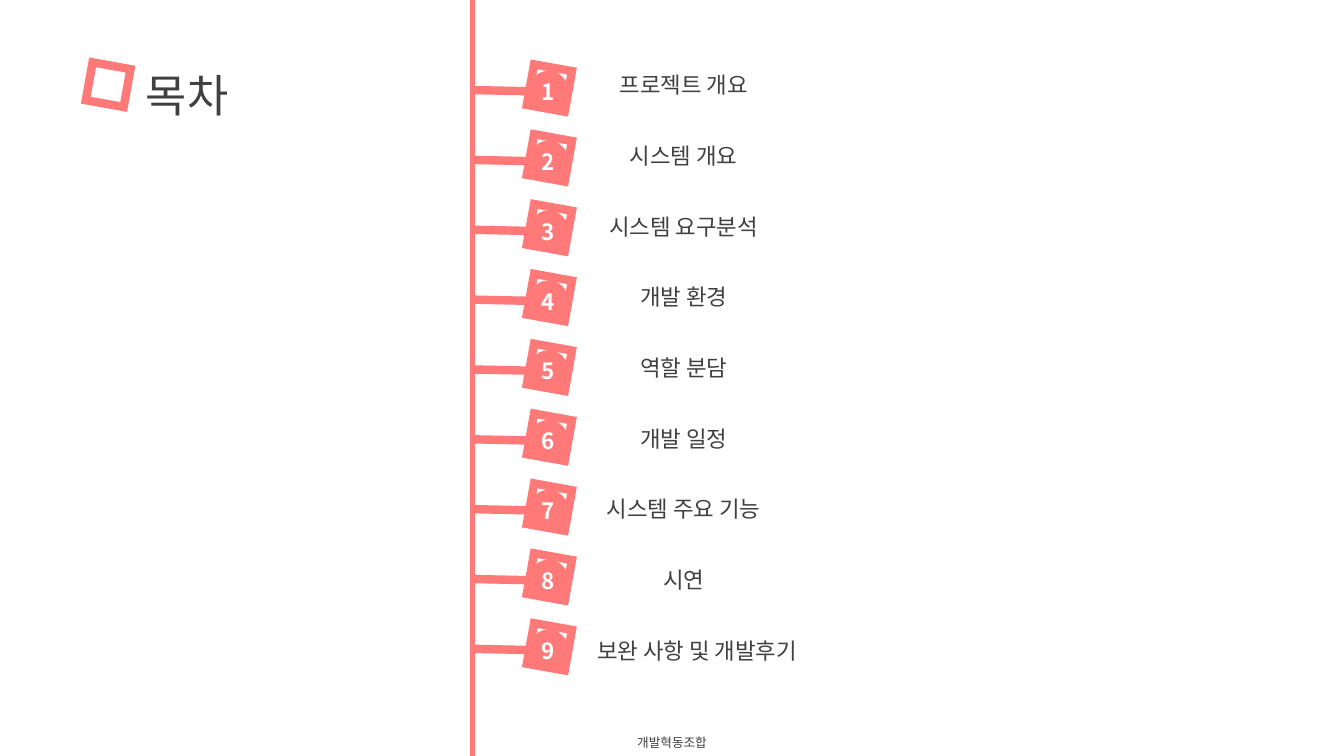
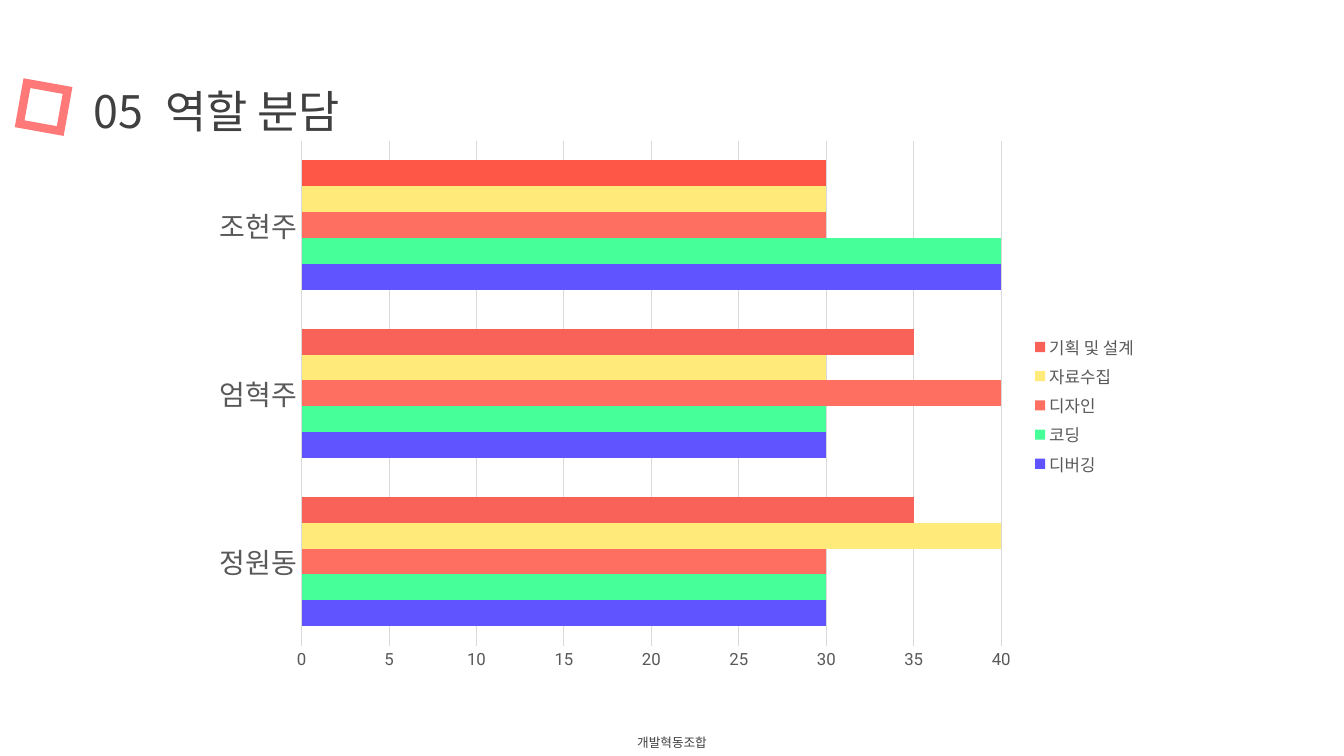
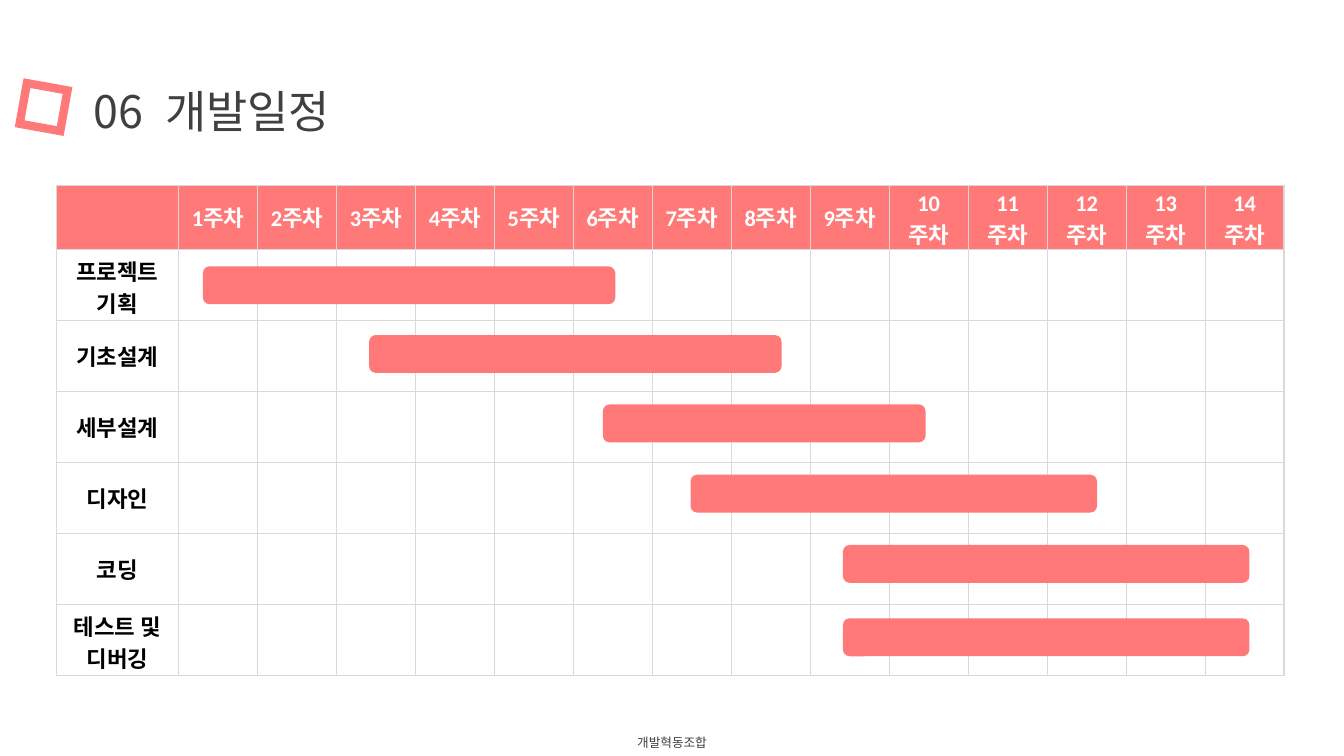
from dataclasses import dataclass
from typing import Any, Optional

from lxml.etree import SubElement
from pptx import Presentation
from pptx.chart.data import CategoryChartData
from pptx.dml.color import RGBColor
from pptx.enum.chart import XL_CHART_TYPE as Chart, XL_LEGEND_POSITION as Legend
from pptx.enum.chart import XL_TICK_MARK as Tick
from pptx.enum.shapes import MSO_CONNECTOR as Link, MSO_SHAPE as Preset
from pptx.enum.text import MSO_ANCHOR as Anchor, MSO_AUTO_SIZE as Fit, PP_ALIGN as Align
from pptx.oxml import parse_xml
from pptx.oxml.ns import nsdecls, qn
from pptx.util import Cm, Pt

CORAL, INK, WHITE, BLACK = "FF7979", "404040", "FFFFFF", "000000"
GREY, RULE = "595959", "D9D9D9"
SANS, LATIN, LABEL = "Noto Sans CJK KR", "Calibri", "Roboto"
TILT = 10.2
TEAM = "개발혁동조합"


@dataclass(frozen=True)
class Box:
    """A place on the slide, in centimetres."""
    x: float
    y: float
    w: float
    h: float

    def emu(self) -> tuple:
        return Cm(self.x), Cm(self.y), Cm(self.w), Cm(self.h)


@dataclass(frozen=True)
class Task:
    name: str
    bar: Box


@dataclass(frozen=True)
class Series:
    name: str
    vals: tuple
    color: str


TOPICS = ("프로젝트 개요", "시스템 개요", "시스템 요구분석", "개발 환경", "역할 분담",
          "개발 일정", "시스템 주요 기능", "시연", "보완 사항 및 개발후기")
MEMBERS = ("정원동", "엄혁주", "조현주")
ROLES = (
    Series("디버깅", (30, 30, 40), "5F54FF"),
    Series("코딩", (30, 30, 40), "47FF99"),
    Series("디자인", (30, 40, 30), "FF6F61"),
    Series("자료수집", (40, 30, 30), "FFEA7A"),
    Series("기획 및 설계", (35, 35, 30), "F96259"),
)
WEEKS = 14
TASKS = (
    Task("프로젝트\n기획", Box(5.13, 6.73, 10.36, 0.92)),
    Task("기초설계", Box(9.32, 8.46, 10.36, 0.92)),
    Task("세부설계", Box(15.21, 10.21, 8.1, 0.92)),
    Task("디자인", Box(17.42, 11.98, 10.21, 0.92)),
    Task("코딩", Box(21.26, 13.75, 10.21, 0.92)),
    Task("테스트 및\n디버깅", Box(21.26, 15.6, 10.21, 0.92)),
)


def rgb(code: str) -> RGBColor:
    return RGBColor.from_string(code)


def paint(item: Any, code: str) -> None:
    """Give a shape, cell or chart format a solid fill."""
    item.fill.solid()
    item.fill.fore_color.rgb = rgb(code)


def stroke(line: Any, code: str, width: float) -> None:
    line.color.rgb = rgb(code)
    line.width = Pt(width)


def style(font: Any, size: float, code: str, name: str = SANS, bold: bool = False) -> None:
    font.size, font.name, font.bold = Pt(size), name, bold
    font.color.rgb = rgb(code)


def write(frame: Any, text: str, size: float, code: str, align: Align = Align.CENTER,
          name: str = SANS, bold: bool = False) -> None:
    frame.text = text
    for para in frame.paragraphs:
        para.alignment = align
        for run in para.runs:
            style(run.font, size, code, name, bold)
            props = run.font._rPr
            SubElement(props, qn("a:ea")).set("typeface", SANS)


def label(slide: Any, box: Box, text: str, size: float, align: Align = Align.CENTER) -> None:
    frame = slide.shapes.add_textbox(*box.emu()).text_frame
    frame.word_wrap = True
    frame.auto_size = Fit.SHAPE_TO_FIT_TEXT
    write(frame, text, size, INK, align)


def solid(shapes: Any, kind: Preset, box: Box) -> Any:
    """Add a coral shape with a thin coral outline."""
    shape = shapes.add_shape(kind, *box.emu())
    shape.shadow.inherit = False
    paint(shape, CORAL)
    stroke(shape.line, CORAL, 1)
    return shape


def frame(shapes: Any, box: Box) -> None:
    """Add a tilted hollow square with sharp corners."""
    shape = shapes.add_shape(Preset.RECTANGLE, *box.emu())
    shape.shadow.inherit = False
    shape.rotation = TILT
    shape.fill.background()
    stroke(shape.line, CORAL, 6)
    SubElement(shape.line._get_or_add_ln(), qn("a:miter")).set("lim", "800000")


def rule(shapes: Any, start: tuple, end: tuple, width: float) -> None:
    ends = [Cm(part) for part in start + end]
    line = shapes.add_connector(Link.STRAIGHT, *ends)
    stroke(line.line, CORAL, width)
    SubElement(line._element.spPr, qn("a:effectLst"))


def page(deck: Any) -> Any:
    """Add a blank slide with the team footer."""
    slide = deck.slides.add_slide(deck.slide_layouts[6])
    label(slide, Box(10.57, 18.39, 12.73, 0.64), TEAM, 9)
    return slide


def chapter(deck: Any, number: int, title: str) -> Any:
    slide = page(deck)
    frame(slide.shapes, Box(0.58, 2.18, 1.04, 1.04))
    label(slide, Box(3.91, 1.98, 10.82, 1.63), title, 32, Align.LEFT)
    label(slide, Box(2.11, 1.98, 2.08, 1.63), f"{number:02}", 32, Align.LEFT)
    return slide


def badge(slide: Any, number: int, top: float, spine: float) -> None:
    """Add a numbered marker tied to the spine."""
    shapes = slide.shapes.add_group_shape().shapes
    frame(shapes, Box(13.36, top, 0.97, 1.04))
    rule(shapes, (13.34, top + 0.6), (spine, top + 0.57), 6)
    disc = solid(shapes, Preset.OVAL, Box(13.34, top + 0.1, 0.97, 1.02))
    text = disc.text_frame
    text.margin_left = text.margin_right = 0
    text.vertical_anchor = Anchor.MIDDLE
    write(text, str(number), 16, WHITE, bold=True)


def contents(deck: Any) -> None:
    slide = page(deck)
    spine = 11.91
    frame(slide.shapes, Box(2.24, 1.65, 0.97, 0.97))
    label(slide, Box(2.69, 1.57, 4.06, 1.63), "목차", 32)
    rule(slide.shapes, (spine, 0), (spine, 19.05), 3)
    for row, topic in enumerate(TOPICS):
        width = 5.94 if topic == TOPICS[-1] else 5.26
        label(slide, Box(14.6, 1.68 + 1.78 * row, width, 0.94), topic, 16)
        badge(slide, row + 1, 1.7 + 1.76 * row, spine)


def roles(deck: Any) -> None:
    slide = chapter(deck, 5, "역할 분담")
    data = CategoryChartData()
    data.categories = MEMBERS
    for role in ROLES:
        data.add_series(role.name, role.vals)
    place = Box(5.05, 3.28, 23.88, 13.87)
    chart = slide.shapes.add_chart(Chart.BAR_CLUSTERED, *place.emu(), data).chart
    style(chart.font, 10, BLACK)
    chart.has_title = False
    chart.has_legend = True
    chart.legend.position = Legend.RIGHT
    chart.legend.include_in_layout = False
    style(chart.legend.font, 12, GREY, LABEL)

    plot = chart.plots[0]
    plot.gap_width = 150
    plot.vary_by_categories = False
    for bars, role in zip(plot.series, ROLES):
        paint(bars.format, role.color)
        bars.invert_if_negative = False
    paint(plot.series[-1].points[2].format, "FF5747")

    cats, vals = chart.category_axis, chart.value_axis
    for axis, size in ((cats, 20), (vals, 12)):
        axis.major_tick_mark = axis.minor_tick_mark = Tick.NONE
        style(axis.tick_labels.font, size, GREY, LABEL)
    stroke(cats.format.line, RULE, 0.75)
    vals.format.line.fill.background()
    vals.minimum_scale, vals.maximum_scale = 0, 40
    vals.has_major_gridlines = True
    stroke(vals.major_gridlines.format.line, RULE, 0.75)


def border(cell: Any, code: str, width: float) -> None:
    props = cell._tc.get_or_add_tcPr()
    for spot, side in enumerate(("lnL", "lnR", "lnT", "lnB")):
        props.insert(spot, parse_xml(
            f'<a:{side} {nsdecls("a")} w="{Pt(width)}"><a:solidFill>'
            f'<a:srgbClr val="{code}"/></a:solidFill></a:{side}>'))


def fill(cell: Any, text: Optional[str], back: str, ink: str) -> None:
    """Style one table cell and write its text, if any."""
    paint(cell, back)
    border(cell, RULE, 1)
    cell.vertical_anchor = Anchor.MIDDLE
    if text:
        write(cell.text_frame, text, 16, ink, name=LATIN, bold=True)


def plan(deck: Any) -> None:
    slide = chapter(deck, 6, "개발일정")
    place = Box(1.42, 4.67, 30.96, 12.07)
    table = slide.shapes.add_table(len(TASKS) + 1, WEEKS + 1, *place.emu()).table
    table.horz_banding = False
    for col, part in enumerate(table.columns):
        part.width = Cm(1.99 if col else 3.08)
    for row, part in enumerate(table.rows):
        part.height = Cm(1.79 if row else 1.4)
    for col in range(WEEKS + 1):
        fill(table.cell(0, col), f"{col}주차" if col else None, CORAL, WHITE)
        for row, task in enumerate(TASKS, 1):
            fill(table.cell(row, col), None if col else task.name, WHITE, BLACK)
    for task in TASKS:
        solid(slide.shapes, Preset.ROUNDED_RECTANGLE, task.bar)


def main() -> None:
    deck = Presentation()
    deck.slide_width, deck.slide_height = Cm(33.87), Cm(19.05)
    contents(deck)
    roles(deck)
    plan(deck)
    deck.save("out.pptx")


if __name__ == "__main__":
    main()
